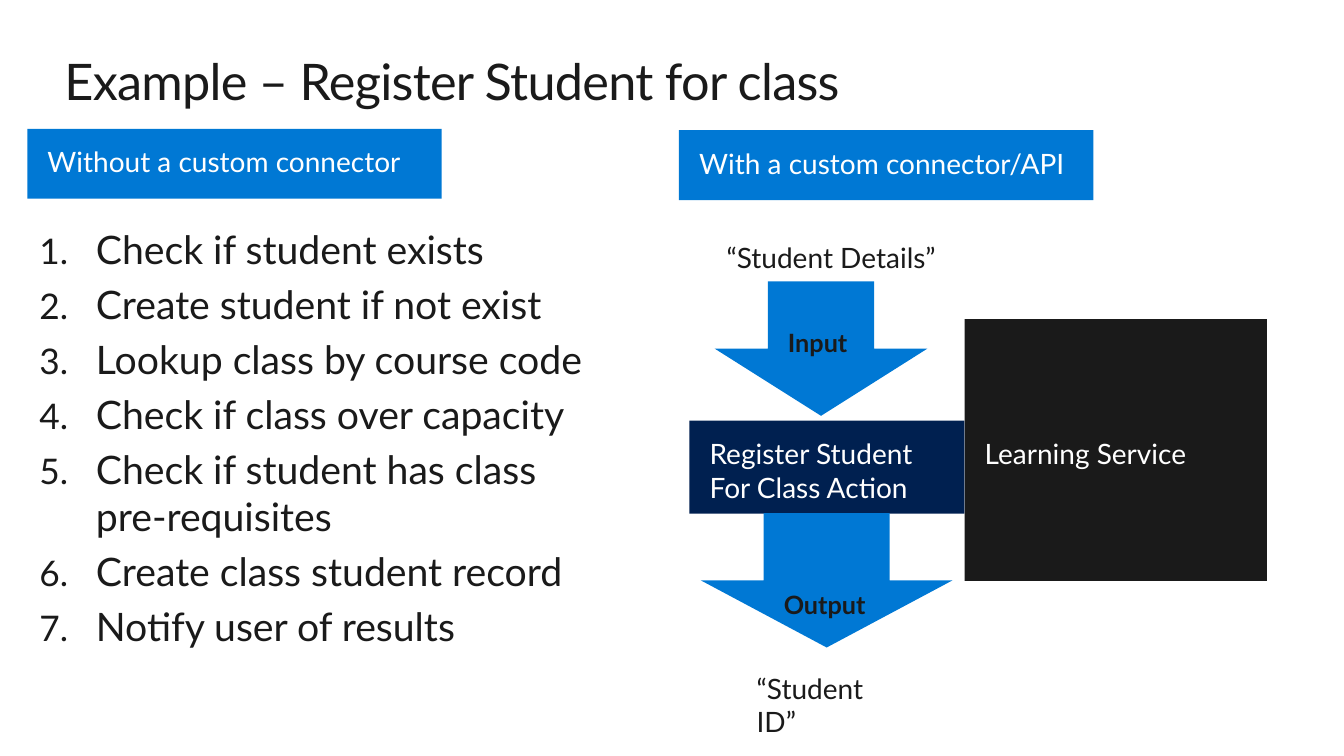
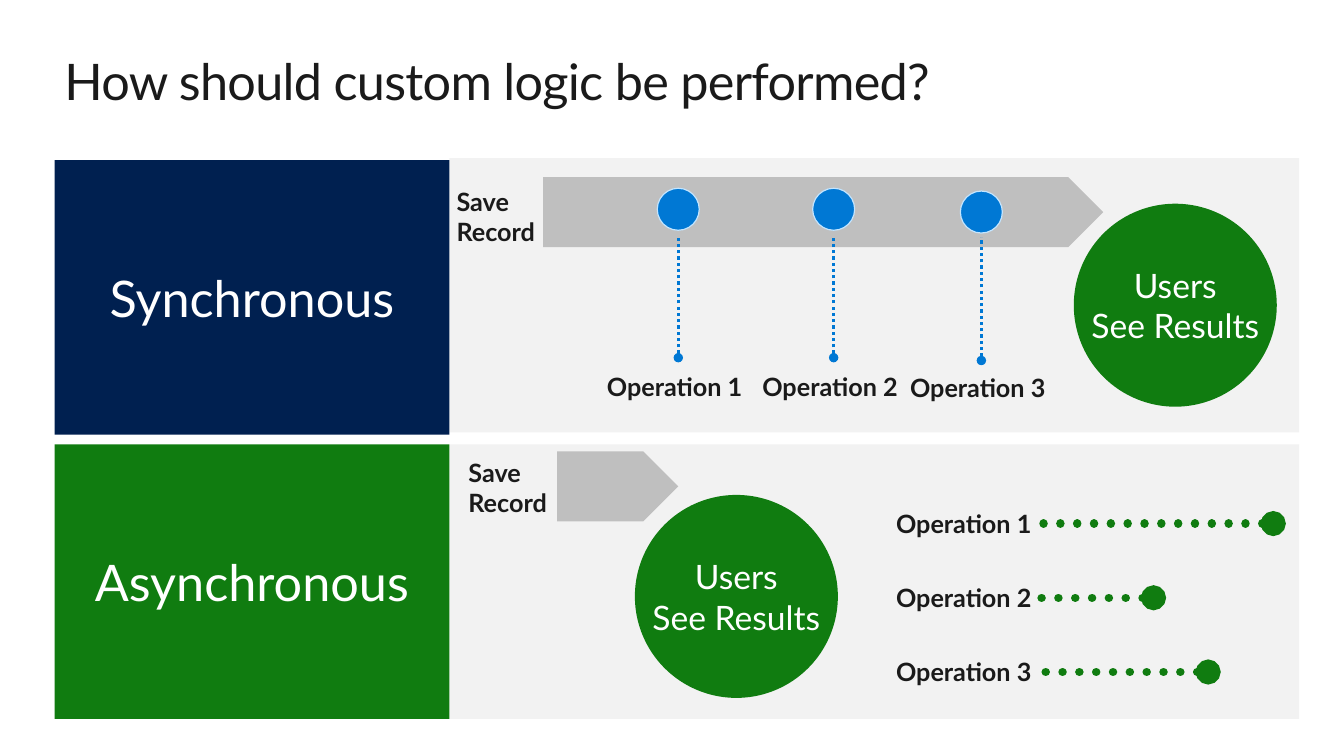
from lxml.etree import SubElement
from pptx import Presentation
from pptx.dml.color import RGBColor
from pptx.enum.shapes import MSO_CONNECTOR, MSO_SHAPE
from pptx.enum.text import MSO_ANCHOR, PP_ALIGN
from pptx.oxml.ns import qn
from pptx.util import Pt

FONT = "Lato"
INK, WHITE, PANEL, GREY = "1A1A1A", "FFFFFF", "F2F2F2", "BFBFBF"
NAVY, BLUE, SKY, GREEN = "002050", "0078D4", "C3E5FF", "107C10"
PAD = (14.4, 11.5, 14.4, 11.5)
SLIM = (7.2, 3.6, 7.2, 3.6)
NONE = (0, 0, 0, 0)


def color(code):
    return RGBColor.from_string(code)


def number(para):
    """Give a paragraph a hanging automatic number."""
    props = para._p.get_or_add_pPr()
    props.set("marL", str(Pt(40.5)))
    props.set("indent", str(-Pt(40.5)))
    SubElement(props, qn("a:buSzPct"), val="90000")
    SubElement(props, qn("a:buAutoNum"), type="arabicPeriod")


def write(shape, text, size=20, fill=INK, bold=False, pad=PAD, align=PP_ALIGN.LEFT,
          anchor=MSO_ANCHOR.TOP, wrap=True, gap=0, track=0, numbered=False):
    """Fill a shape with text, one paragraph a line."""
    frame = shape.text_frame
    frame.word_wrap = wrap
    frame.vertical_anchor = anchor
    (frame.margin_left, frame.margin_top,
     frame.margin_right, frame.margin_bottom) = map(Pt, pad)
    for index, line in enumerate(text.split("\n")):
        para = frame.add_paragraph() if index else frame.paragraphs[0]
        para.alignment = align
        if index and gap:
            para.space_before = Pt(gap)
        if numbered:
            number(para)
        run = para.add_run()
        run.text = line
        font = run.font
        font.name, font.size, font.bold = FONT, Pt(size), bold
        font.color.rgb = color(fill)
        if track:
            font._element.set("spc", str(track))


def label(slide, text, x, y, w, h, **style):
    box = slide.shapes.add_textbox(Pt(x), Pt(y), Pt(w), Pt(h))
    write(box, text, **style)


def block(slide, kind, x, y, w, h, fill, edge=None):
    shape = slide.shapes.add_shape(kind, Pt(x), Pt(y), Pt(w), Pt(h))
    shape.shadow.inherit = False
    shape.fill.solid()
    shape.fill.fore_color.rgb = color(fill)
    if edge:
        shape.line.color.rgb = color(edge)
        shape.line.width = Pt(0.85)
    else:
        shape.line.fill.background()
    return shape


def dots(slide, x, y, w, h, fill, width, cap="flat"):
    """Draw a dotted line that starts with an oval and runs by w and h."""
    line = slide.shapes.add_connector(
        MSO_CONNECTOR.STRAIGHT, Pt(x), Pt(y), Pt(x + w), Pt(y + h))
    line.line.color.rgb = color(fill)
    line.line.width = Pt(width)
    edge = line.line._get_or_add_ln()
    edge.set("cap", cap)
    SubElement(edge, qn("a:prstDash"), val="sysDot")
    SubElement(edge, qn("a:headEnd"), type="oval")
    SubElement(line._element.spPr, qn("a:effectLst"))


def start(deck, title):
    """Add a blank slide with its title."""
    slide = deck.slides.add_slide(deck.slide_layouts[6])
    label(slide, title, 46, 36, 868, 44, size=36, pad=NONE, track=-50)
    return slide


def header(slide, text, x, y):
    bar = block(slide, MSO_SHAPE.RECTANGLE, x, y, 296, 50, BLUE)
    write(bar, text, fill=WHITE)


def manual(slide, x, y):
    """Place the column of numbered steps."""
    header(slide, "Without a custom connector", x, y)
    steps = ("Check if student exists", "Create student if not exist",
             "Lookup class by course code", "Check if class over capacity",
             "Check if student has class pre-requisites",
             "Create class student record", "Notify user of results")
    label(slide, "\n".join(steps), x + 1.5, y + 65.5, 423.5, 358.5,
          size=28, pad=SLIM, gap=5.6, numbered=True)


def flow(slide, x, y):
    """Place the column with the service and its input and output."""
    header(slide, "With a custom connector/API", x, y)
    box, down = MSO_SHAPE.RECTANGLE, MSO_SHAPE.DOWN_ARROW
    parts = (
        (box, "Learning Service", 204, 135, 216, 187, INK, 83.5, 20, WHITE),
        (box, "Register Student\nFor Class Action", 7.5, 207.5, 196.5, 66.5,
         NAVY, 11.5, 20, WHITE),
        (down, "Input", 25.5, 108, 152, 96, BLUE, 33, 18, INK),
        (down, "Output", 15.5, 273.5, 180, 96, BLUE, 54.5, 18, INK))
    for kind, text, left, top, w, h, fill, drop, size, ink in parts:
        shape = block(slide, kind, x + left, y + top, w, h, fill)
        write(shape, text, size=size, fill=ink, bold=kind == down,
              pad=(14.4, drop, 14.4, 0))
    label(slide, "“Student Details”", x + 34, y + 78.5, 152, 24, pad=NONE)
    label(slide, "“Student ID”", x + 55.5, y + 386.5, 108, 48, pad=NONE)


def lane(slide, name, fill, x, y, drop=0):
    """Place a pale panel with a coloured name block at its left."""
    block(slide, MSO_SHAPE.RECTANGLE, x + 282, y, 607, 196, PANEL)
    head = block(slide, MSO_SHAPE.RECTANGLE, x, y + drop, 282, 196, fill)
    write(head, name, size=36, fill=WHITE, pad=SLIM,
          align=PP_ALIGN.CENTER, anchor=MSO_ANCHOR.MIDDLE)


def note(slide, text, x, y, w=116, h=29):
    label(slide, text, x, y, w, h, size=18, bold=True, pad=SLIM)


def entry(slide, x, y, left, w, lift):
    """Place the label for saving and its arrow, which starts at left."""
    block(slide, MSO_SHAPE.PENTAGON, x + left, y - lift, w, 50, GREY)
    note(slide, "Save\nRecord", x, y, 74, 51)


def result(slide, x, y):
    disc = block(slide, MSO_SHAPE.OVAL, x, y, 145, 145, GREEN)
    write(disc, "Users\nSee Results", size=24, fill=WHITE, wrap=False,
          pad=(3.6,) * 4, align=PP_ALIGN.CENTER, anchor=MSO_ANCHOR.MIDDLE)


def waits(slide, x, y):
    """Place the operations that hang from the arrow."""
    spots = ((163.5, 0), (274.5, 0), (380, 2))
    for index, (left, drop) in enumerate(spots, 1):
        mid, top = x + left, y + drop
        dots(slide, mid, top + 142.5, 0, -88, BLUE, 2.25)
        block(slide, MSO_SHAPE.OVAL, mid - 15, top + 21.5, 30, 30, BLUE, SKY)
        note(slide, f"Operation {index}", mid - 58, y + 148.5 + drop / 2)


def tasks(slide, x, y):
    """Place the operations that run on their own."""
    for index, span in enumerate((165.5, 80, 119)):
        top = y + 53 * index
        note(slide, f"Operation {index + 1}", x, top)
        dots(slide, x + 111 + span, top + 14.5, -span, 0, GREEN, 6, "rnd")


def main():
    deck = Presentation()
    deck.slide_width, deck.slide_height = Pt(960), Pt(540)

    slide = start(deck, "Example – Register Student for class")
    manual(slide, 19.5, 92)
    flow(slide, 485, 93)

    slide = start(deck, "How should custom logic be performed?")
    lane(slide, "Synchronous", NAVY, 39, 113, drop=1.5)
    entry(slide, 319, 129.5, 69, 400, 3)
    waits(slide, 321, 113)
    result(slide, 767, 145.5)
    lane(slide, "Asynchronous", GREEN, 39, 317.5)
    entry(slide, 327.5, 323, 70.5, 86.5, 0.5)
    result(slide, 453.5, 353.5)
    tasks(slide, 633, 359.5)
    deck.save("out.pptx")


if __name__ == "__main__":
    main()
